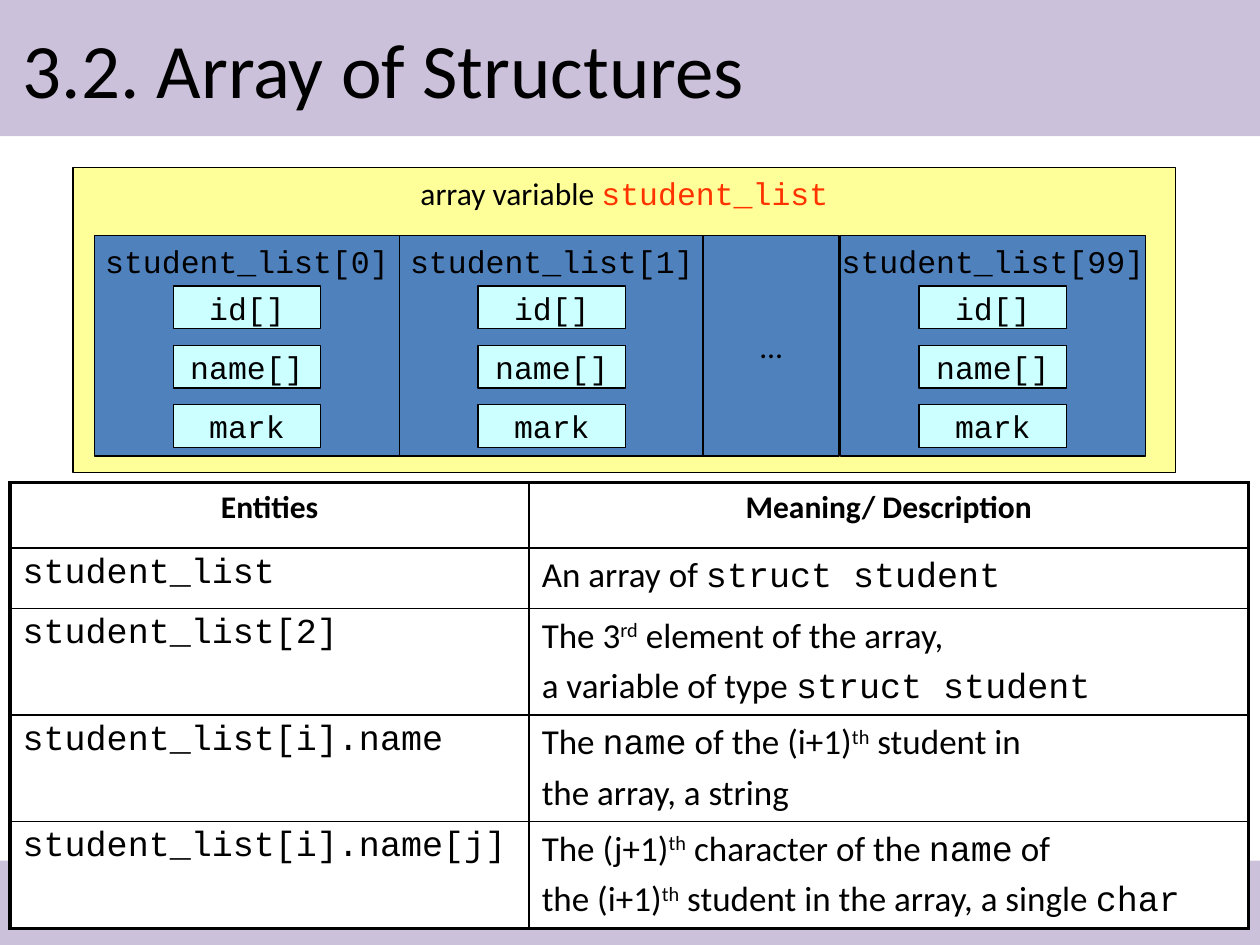
import lxml.etree
import pptx
import pptx.dml.color
import pptx.enum.shapes
import pptx.enum.text
import pptx.oxml.ns
import pptx.util

Inches = pptx.util.Inches
Pt = pptx.util.Pt
ALIGN = pptx.enum.text.PP_ALIGN
ANCHOR = pptx.enum.text.MSO_ANCHOR

COLORS = {
    "band": "CCC1DA",
    "array": "FFFF99",
    "element": "4F81BD",
    "member": "CCFFFF",
    "highlight": "FF3300",
    "text": "000000",
    "line": "000000",
    "cell": "FFFFFF",
}
BODY, MONO = "Calibri", "Courier New"
CODE = {"font": MONO}
RAISED = {"baseline": 30}


def color(name):
    return pptx.dml.color.RGBColor.from_string(COLORS[name])


def write(para, text, font=BODY, size=18, ink="text", bold=False, baseline=0):
    span = para.add_run()
    span.text = text
    span.font.name = font
    span.font.size = Pt(size)
    span.font.bold = bold
    span.font.color.rgb = color(ink)
    if baseline:
        span.font._element.set("baseline", str(baseline * 1000))


class SlideBuilder:
    def __init__(self, deck):
        self.page = deck.slides.add_slide(deck.slide_layouts[5])
        self.target = self.page.shapes

    def group(self):
        self.target = self.page.shapes.add_group_shape().shapes

    def ungroup(self):
        self.target = self.page.shapes

    def title(self, text):
        box = self.page.shapes.title
        box.left, box.top = Inches(0.08), Inches(0.08)
        box.width, box.height = Inches(9.84), Inches(0.92)
        box.text_frame.vertical_anchor = ANCHOR.MIDDLE
        para = box.text_frame.paragraphs[0]
        para.alignment = ALIGN.LEFT
        write(para, text, size=44)
        self.page.shapes._spTree.append(box._element)  # in front of the band

    def rectangle(self, left, top, width, height, fill, spans=(),
                  outlined=True, anchor=ANCHOR.TOP):
        box = self.target.add_shape(
            pptx.enum.shapes.MSO_SHAPE.RECTANGLE,
            Inches(left), Inches(top), Inches(width), Inches(height))
        box.shadow.inherit = False
        box.fill.solid()
        box.fill.fore_color.rgb = color(fill)
        if outlined:
            box.line.color.rgb = color("line")
            box.line.width = Pt(0.75)
        else:
            box.line.fill.background()
        frame = box.text_frame
        frame.word_wrap = False
        frame.vertical_anchor = anchor
        para = frame.paragraphs[0]
        para.alignment = ALIGN.CENTER
        for text, style in spans:
            write(para, text, **style)

    def element(self, left, top, name, members):
        width, member_width = 2.42, 1.17
        self.rectangle(left, top, width, 1.75, "element", [(name, CODE)])
        for index, member in enumerate(members):
            self.rectangle(left + (width - member_width) / 2,
                           top + 0.4 + 0.47 * index, member_width, 0.34,
                           "member", [(member, CODE)], anchor=ANCHOR.MIDDLE)

    def borders(self, cell, widths):
        properties = cell._tc.get_or_add_tcPr()
        for side, width in zip("LRTB", widths):
            line = lxml.etree.SubElement(
                properties, pptx.oxml.ns.qn("a:ln" + side), w=str(Pt(width)))
            fill = lxml.etree.SubElement(line, pptx.oxml.ns.qn("a:solidFill"))
            lxml.etree.SubElement(
                fill, pptx.oxml.ns.qn("a:srgbClr"), val=COLORS["line"])

    def table(self, left, top, columns, heights, rows):
        table = self.target.add_table(
            len(rows), len(columns), Inches(left), Inches(top),
            Inches(sum(columns)), Inches(sum(heights))).table
        table.first_row = table.horz_banding = False
        for column, width in zip(table.columns, columns):
            column.width = Inches(width)
        for row, height in zip(table.rows, heights):
            row.height = Inches(height)
        for r, row in enumerate(rows):
            for c, lines in enumerate(row):
                cell = table.cell(r, c)
                outer = (c == 0, c == len(columns) - 1,
                         r == 0, r == len(rows) - 1)
                self.borders(cell, [2.25 if edge else 1 for edge in outer])
                cell.fill.solid()
                cell.fill.fore_color.rgb = color("cell")
                self.cell_text(cell, lines, header=r == 0)

    def cell_text(self, cell, lines, header):
        base = {"size": 18, "bold": True} if header else {"size": 20}
        for index, spans in enumerate(lines):
            frame = cell.text_frame
            para = frame.add_paragraph() if index else frame.paragraphs[0]
            para.alignment = ALIGN.CENTER if header else ALIGN.LEFT
            if index:
                para.space_before = Pt(4)
            for text, style in spans:
                write(para, text, **base, **style)


def main():
    deck = pptx.Presentation()
    deck.slide_width, deck.slide_height = Inches(10), Inches(7.5)
    slide = SlideBuilder(deck)

    # Header and footer bands
    slide.rectangle(0, 0, 10, 1.08, "band", outlined=False)
    slide.rectangle(0, 6.83, 10, 0.67, "band", outlined=False)

    # Array diagram
    slide.group()
    slide.rectangle(0.58, 1.33, 8.75, 2.42, "array", [
        ("array variable ", {}),
        ("student_list", {"font": MONO, "ink": "highlight"})])
    for left, number in ((0.75, 0), (3.17, 1), (6.67, 99)):
        slide.element(left, 1.87, f"student_list[{number}]",
                      ("id[]", "name[]", "mark"))
    slide.ungroup()

    # Table of entities: each cell is a list of lines, each line a list of spans
    rows = [
        ([[("Entities", {})]], [[("Meaning/ Description", {})]]),
        ([[("student_list", CODE)]],
         [[("An array of ", {}), ("struct student", CODE)]]),
        ([[("student_list[2]", CODE)]],
         [[("The 3", {}), ("rd", RAISED), (" element of the array,", {})],
          [("a variable of type ", {}), ("struct student", CODE)]]),
        ([[("student_list[i].name", CODE)]],
         [[("The ", {}), ("name", CODE), (" of the (i+1)", {}),
           ("th", RAISED), (" student in", {})],
          [("the array, a string", {})]]),
        ([[("student_list[i].name[j]", CODE)]],
         [[("The (j+1)", {}), ("th", RAISED), (" character of the ", {}),
           ("name", CODE), (" of", {})],
          [("the (i+1)", {}), ("th", RAISED),
           (" student in the array, a single ", {}), ("char", CODE)]]),
    ]
    slide.table(0.08, 3.83, (4.12, 5.71), (0.52, 0.48, 0.82, 0.82, 0.82), rows)

    # Omitted elements
    slide.rectangle(5.58, 1.87, 1.08, 1.75, "element", [("…", {})],
                    anchor=ANCHOR.MIDDLE)

    # Title
    slide.title("3.2. Array of Structures")
    deck.save("out.pptx")


if __name__ == "__main__":
    main()
